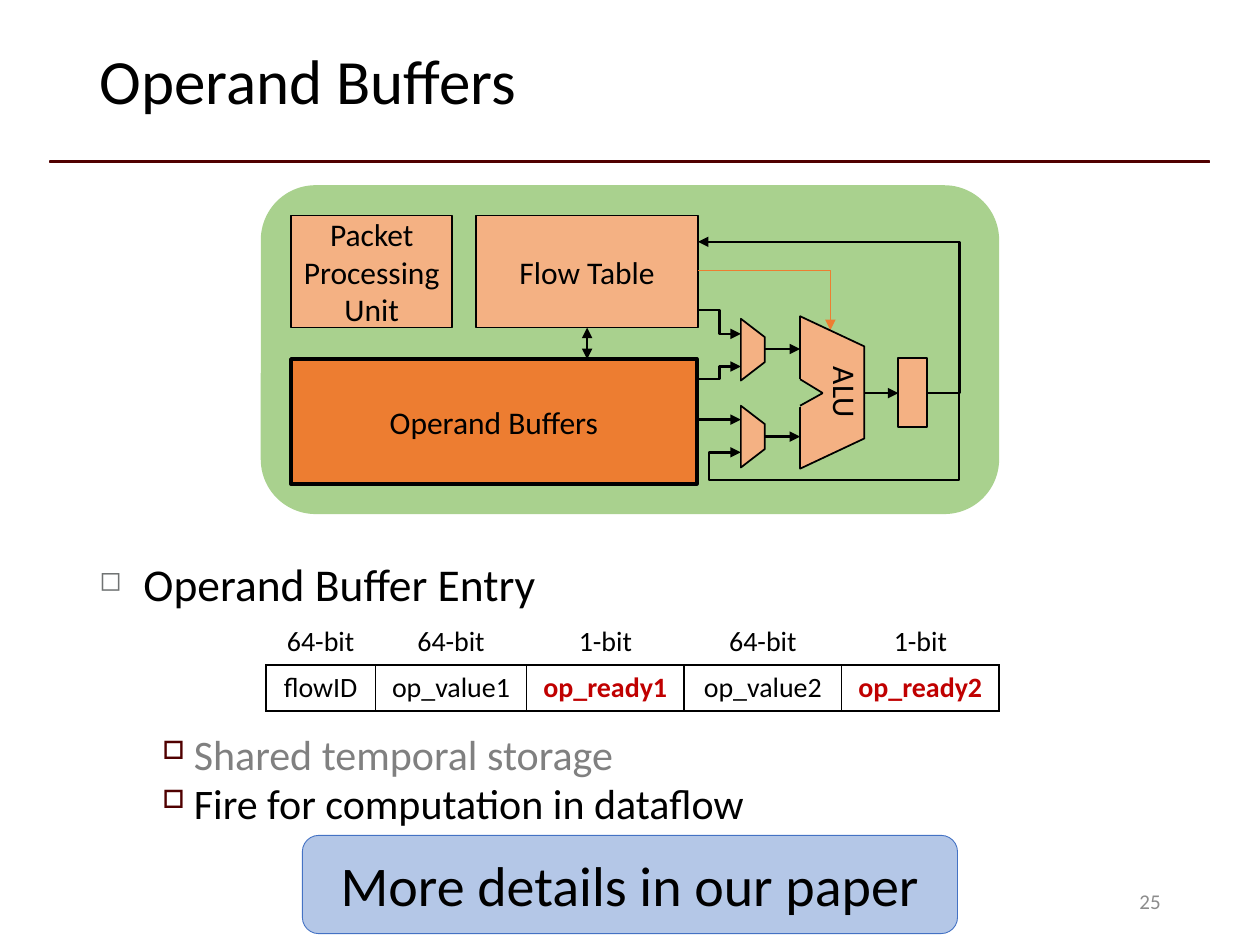
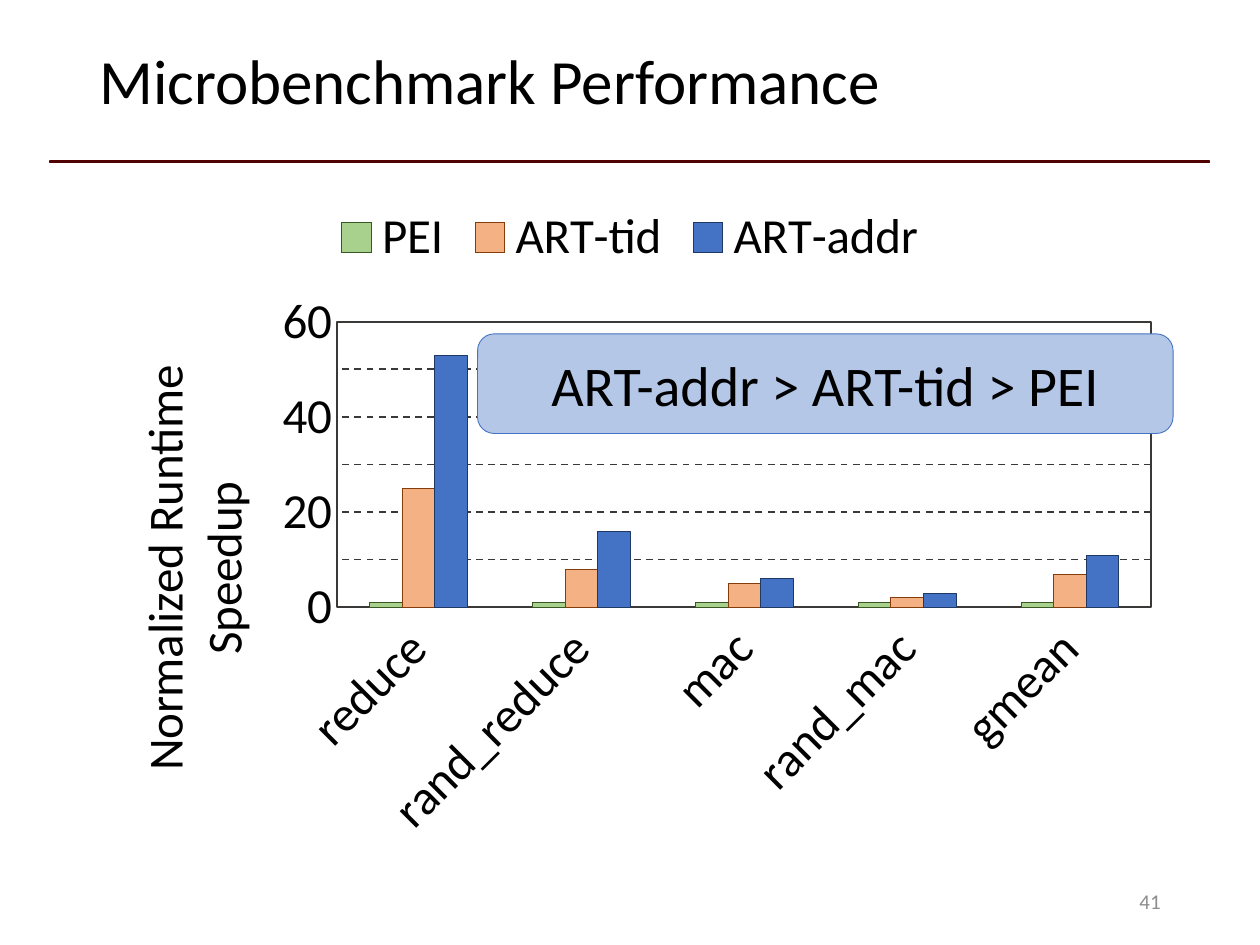
from dataclasses import dataclass
from typing import NamedTuple, Optional

from lxml import etree
from pptx import Presentation
from pptx import util as u
from pptx.chart import data as cd
from pptx.dml.color import RGBColor
from pptx.enum import chart as ch
from pptx.enum import dml, shapes, text
from pptx.oxml import ns
from pptx.shapes.autoshape import Shape
from pptx.slide import Slide

BLACK = RGBColor(0, 0, 0)
WHITE = RGBColor(255, 255, 255)
MAROON = RGBColor(0x50, 0, 0)
RED = RGBColor(0xC0, 0, 0)
GREY = RGBColor(0x80, 0x80, 0x80)
PALE = RGBColor(0x8C, 0x8C, 0x8C)
STONE = RGBColor(0x70, 0x73, 0x73)
COAL = RGBColor(0x3B, 0x38, 0x38)
GREEN = RGBColor(0xA9, 0xD1, 0x8E)
PEACH = RGBColor(0xF4, 0xB1, 0x83)
ORANGE = RGBColor(0xED, 0x7D, 0x31)
BLUE = RGBColor(0x44, 0x72, 0xC4)
SKY = RGBColor(0xB4, 0xC7, 0xE7)
MOSS = RGBColor(0x38, 0x57, 0x23)
RUST = RGBColor(0x84, 0x3C, 0x0B)
NAVY = RGBColor(0x20, 0x38, 0x64)

FONT = "Calibri"
WIDE, HIGH = u.Inches(10), u.Inches(7.5)
COLS, ROWS = 100, 75
KIND = shapes.MSO_SHAPE
MID = text.MSO_ANCHOR.MIDDLE
LEFT, MIDDLE, RIGHT = text.PP_ALIGN.LEFT, text.PP_ALIGN.CENTER, text.PP_ALIGN.RIGHT


class Box(NamedTuple):
    col: float
    row: float
    wide: float
    high: float

    def emu(self) -> tuple[int, ...]:
        return (across(self.col), down(self.row), across(self.wide), down(self.high))


@dataclass(frozen=True)
class Block:
    box: Box
    fill: RGBColor = PEACH
    label: str = ""
    kind: int = KIND.RECTANGLE
    line: Optional[RGBColor] = BLACK
    width: float = 1
    size: int = 18
    turn: int = 0
    slant: Optional[float] = None


@dataclass(frozen=True)
class Wire:
    start: tuple[float, float]
    end: tuple[float, float]
    bends: Optional[tuple[float, ...]] = None
    color: RGBColor = BLACK
    width: float = 1.5
    head: bool = False
    tail: bool = True


@dataclass(frozen=True)
class Point:
    label: str
    size: int
    color: RGBColor
    mark: str
    tint: RGBColor
    left: float
    hang: float
    pitch: float
    above: float


class Group(NamedTuple):
    name: str
    vals: tuple[int, ...]
    fill: RGBColor
    line: RGBColor


PANEL = Block(Box(20.7, 14.7, 58.6, 26.1), GREEN, kind=KIND.ROUNDED_RECTANGLE, line=None)
UNITS = [
    Block(Box(23.1, 17.1, 12.8, 8.9), label="Packet Processing Unit"),
    Block(Box(37.8, 17.1, 17.6, 8.9), label="Flow Table"),
    Block(Box(23.1, 28.5, 32.2, 9.9), ORANGE, "Operand Buffers", width=2.25),
    *[Block(Box(57.3, row, 4.9, 1.9), kind=KIND.TRAPEZOID, turn=90, slant=0.77)
      for row in (26.8, 33.7)],
    Block(Box(71.3, 28.4, 2.3, 5.5)),
]
WIRES = [
    Wire((46.6, 28.5), (46.6, 26), head=True),
    Wire((55.4, 33.3), (58.8, 33.3)),
    Wire((55.4, 30.1), (58.8, 29.1), (0.5,)),
    Wire((55.4, 24.6), (58.8, 26.5), (0.5,)),
    Wire((60.7, 34.65), (63.5, 34.65)),
    Wire((60.7, 27.7), (63.5, 27.7)),
    Wire((68.5, 31.2), (71.3, 31.2)),
    Wire((73.6, 31.2), (58.8, 35.9), (-0.17, 1.47, 1.17)),
    Wire((55.4, 21.5), (65.9, 26.2), (1,), ORANGE, 0.5),
    Wire((73.6, 31.2), (55.4, 19.2), (-0.14,)),
]
ALU = Block(Box(60, 28.6, 12.1, 5.1), label="ALU", kind=KIND.TRAPEZOID, turn=90, slant=0.47)
NOTCH = Block(Box(63.3, 30.3, 2.1, 1.8), GREEN, kind=KIND.ISOSCELES_TRIANGLE,
              line=GREEN, turn=90)
EDGES = [Wire((65.3, 31.2), (63.5, row), width=1, tail=False) for row in (32.2, 30.1)]
SUB = dict(size=24, mark="□", tint=MAROON, left=0.75, hang=0.25, pitch=0.8)
POINTS = [
    Point("Operand Buffer Entry", 26, BLACK, "◻", STONE, 0.35, 0.35, 0.85, 7),
    Point("Shared temporal storage", color=GREY, above=73, **SUB),
    Point("Fire for computation in dataflow", color=BLACK, above=5, **SUB),
]
FIELDS = [("64-bit", "flowID", 8.7), ("64-bit", "op_value1", 12), ("1-bit", "op_ready1", 12.5),
          ("64-bit", "op_value2", 12.5), ("1-bit", "op_ready2", 12.5)]
TESTS = ["reduce", "rand_reduce", "mac", "rand_mac", "gmean"]
GROUPS = [
    Group("PEI", (1, 1, 1, 1, 1), GREEN, MOSS),
    Group("ART-tid", (25, 8, 5, 2, 7), PEACH, RUST),
    Group("ART-addr", (53, 16, 6, 3, 11), BLUE, NAVY),
]


def across(cols: float) -> int:
    return round(WIDE * cols / COLS)


def down(rows: float) -> int:
    return round(HIGH * rows / ROWS)


def node(home, tag: str, **attrs):
    return etree.SubElement(home, ns.qn(tag), {k: str(v) for k, v in attrs.items()})


def paint(font, size: float, color: RGBColor = BLACK, bold: bool = False) -> None:
    font.name, font.size, font.bold = FONT, u.Pt(size), bold
    font.color.rgb = color


def stroke(line, color: RGBColor, width: float) -> None:
    line.color.rgb = color
    line.width = u.Pt(width)


def write(part, label: str, size: float, color: RGBColor = BLACK, align: int = LEFT,
          bold: bool = False) -> None:
    part.text = label
    for para in part.paragraphs:
        para.alignment = align
        for run in para.runs:
            paint(run.font, size, color, bold)


def place(slide: Slide, item: Block) -> Shape:
    shape = slide.shapes.add_shape(item.kind, *item.box.emu())
    shape.shadow.inherit = False
    shape.rotation = item.turn
    shape.fill.solid()
    shape.fill.fore_color.rgb = item.fill
    if item.line is None:
        shape.line.fill.background()
    else:
        stroke(shape.line, item.line, item.width)
    if item.slant is not None:
        shape.adjustments[0] = item.slant
    if item.label:
        write(shape.text_frame, item.label, item.size, align=MIDDLE)
        shape.text_frame.vertical_anchor = MID
    return shape


def link(slide: Slide, wire: Wire) -> None:
    kind = shapes.MSO_CONNECTOR.ELBOW if wire.bends else shapes.MSO_CONNECTOR.STRAIGHT
    (x, y), (right, base) = wire.start, wire.end
    line = slide.shapes.add_connector(kind, across(x), down(y), across(right), down(base))
    stroke(line.line, wire.color, wire.width)
    props = line._element.spPr
    if wire.bends:
        geom = props.find(ns.qn("a:prstGeom"))
        geom.set("prst", f"bentConnector{len(wire.bends) + 2}")
        for old in list(geom):
            geom.remove(old)
        guides = node(geom, "a:avLst")
        for i, bend in enumerate(wire.bends, 1):
            node(guides, "a:gd", name=f"adj{i}", fmla=f"val {round(bend * 100000)}")
    for tag, shown in (("a:headEnd", wire.head), ("a:tailEnd", wire.tail)):
        if shown:
            node(props.find(ns.qn("a:ln")), tag, type="triangle")
    node(props, "a:effectLst")


def frame(slide: Slide, box: Box):
    part = slide.shapes.add_textbox(*box.emu()).text_frame
    part.word_wrap = True
    return part


def start(deck, title: str, page: int) -> Slide:
    slide = deck.slides.add_slide(deck.slide_layouts[6])
    place(slide, Block(Box(4, 12.8, 92, 0.1), MAROON, line=MAROON))
    head = frame(slide, Box(6.9, 2.2, 86.2, 8.9))
    write(head, title, 36)
    head.paragraphs[0].line_spacing = 0.9
    foot = frame(slide, Box(70.6, 69.5, 22.5, 4))
    write(foot, str(page), 12, PALE, RIGHT)
    head.vertical_anchor = foot.vertical_anchor = MID
    return slide


def banner(slide: Slide, label: str, box: Box) -> None:
    place(slide, Block(box, SKY, label, KIND.ROUNDED_RECTANGLE, BLUE, 0.5, 32))


def outline(slide: Slide) -> None:
    part = frame(slide, Box(6.9, 44.3, 86.2, 23.4))
    write(part, "\n".join(p.label for p in POINTS), 24)
    for para, point in zip(part.paragraphs, POINTS):
        paint(para.runs[0].font, point.size, point.color)
        para.line_spacing, para.space_before = point.pitch, u.Pt(point.above)
        props = para._p.get_or_add_pPr()
        props.set("marL", str(u.Inches(point.left)))
        props.set("indent", str(-u.Inches(point.hang)))
        node(node(props, "a:buClr"), "a:srgbClr", val=point.tint)
        node(props, "a:buSzPct", val=60000)
        node(props, "a:buChar", char=point.mark)


def border(cell, sides: str) -> None:
    props = cell._tc.get_or_add_tcPr()
    for i, side in enumerate(sides):
        line = node(props, f"a:ln{side}", w=u.Pt(1))
        node(node(line, "a:solidFill"), "a:srgbClr", val=BLACK)
        props.insert(i, line)


def entry(slide: Slide) -> None:
    box = Box(21.1, 49.1, sum(f[2] for f in FIELDS), 7.3)
    grid = slide.shapes.add_table(2, len(FIELDS), *box.emu()).table
    grid.first_row = grid.horz_banding = False
    for col, (bits, name, wide) in enumerate(FIELDS):
        grid.columns[col].width = across(wide)
        hot = "ready" in name
        for row, label, color, sides in ((0, bits, BLACK, "B"),
                                         (1, name, RED if hot else BLACK, "LRTB")):
            cell = grid.cell(row, col)
            write(cell.text_frame, label, 16, color, MIDDLE, hot and row == 1)
            cell.vertical_anchor = MID if row else text.MSO_ANCHOR.BOTTOM
            cell.fill.background()
            border(cell, sides)


def arrange(part, after: str, inner: bool, **spots: float) -> None:
    for old in part.findall(ns.qn("c:layout")):
        part.remove(old)
    lay = node(part, "c:layout")
    mark = part.find(ns.qn(after)) if after else None
    part.insert(0 if mark is None else part.index(mark) + 1, lay)
    rule = node(lay, "c:manualLayout")
    if inner:
        node(rule, "c:layoutTarget", val="inner")
    for key in ("x", "y"):
        node(rule, f"c:{key}Mode", val="edge")
    for key, val in spots.items():
        node(rule, f"c:{key}", val=val)


def graph(slide: Slide) -> None:
    data = cd.CategoryChartData()
    data.categories = TESTS
    for group in GROUPS:
        data.add_series(group.name, group.vals)
    chart = slide.shapes.add_chart(ch.XL_CHART_TYPE.COLUMN_CLUSTERED,
                                   *Box(6.9, 15, 86.2, 52.7).emu(), data).chart
    paint(chart.font, 28)
    chart.has_title = False
    chart.has_legend = True
    chart.legend.position = ch.XL_LEGEND_POSITION.TOP
    chart.legend.include_in_layout = False
    paint(chart.legend.font, 28)
    plot = chart.plots[0]
    plot.gap_width, plot.overlap, plot.vary_by_categories = 200, 0, False
    for bar, group in zip(plot.series, GROUPS):
        bar.format.fill.solid()
        bar.format.fill.fore_color.rgb = group.fill
        stroke(bar.format.line, group.line, 0.25)
    cats, vals = chart.category_axis, chart.value_axis
    for axis in (cats, vals):
        axis.major_tick_mark = axis.minor_tick_mark = ch.XL_TICK_MARK.NONE
        paint(axis.tick_labels.font, 28)
    cats.tick_label_position = ch.XL_TICK_LABEL_POSITION.LOW
    cats._element.find(ns.qn("c:txPr")).find(ns.qn("a:bodyPr")).set("rot", "-2700000")
    stroke(cats.format.line, COAL, 1)
    vals.minimum_scale, vals.maximum_scale, vals.major_unit = 0, 60, 10
    vals.format.line.fill.background()
    vals.has_major_gridlines = True
    rule = vals.major_gridlines.format.line
    stroke(rule, COAL, 1)
    rule.dash_style = dml.MSO_LINE.DASH
    write(vals.axis_title.text_frame, "Normalized Runtime\nSpeedup", 28, align=MIDDLE)
    arrange(vals.axis_title._element, "c:tx", False, x=0.04, y=0.26)
    area = chart._chartSpace.chart.plotArea
    arrange(area, "", True, x=0.23, y=0.2, w=0.75, h=0.43)
    edge = node(node(area, "c:spPr"), "a:ln", w=u.Pt(1))
    node(node(edge, "a:solidFill"), "a:srgbClr", val=COAL)


def main() -> None:
    deck = Presentation()
    deck.slide_width, deck.slide_height = WIDE, HIGH

    slide = start(deck, "Operand Buffers", 25)
    outline(slide)
    for item in (PANEL, *UNITS):
        place(slide, item)
    for wire in WIRES:
        link(slide, wire)
    body = place(slide, ALU).text_frame
    body.margin_top, body.margin_bottom = 0, down(2.8)
    place(slide, NOTCH)
    for wire in EDGES:
        link(slide, wire)
    entry(slide)
    banner(slide, "More details in our paper", Box(24, 66.3, 52, 7.8))

    slide = start(deck, "Microbenchmark Performance", 41)
    graph(slide)
    banner(slide, "ART-addr > ART-tid > PEI", Box(37.9, 26.5, 55.2, 7.9))
    deck.save("out.pptx")


if __name__ == "__main__":
    main()
